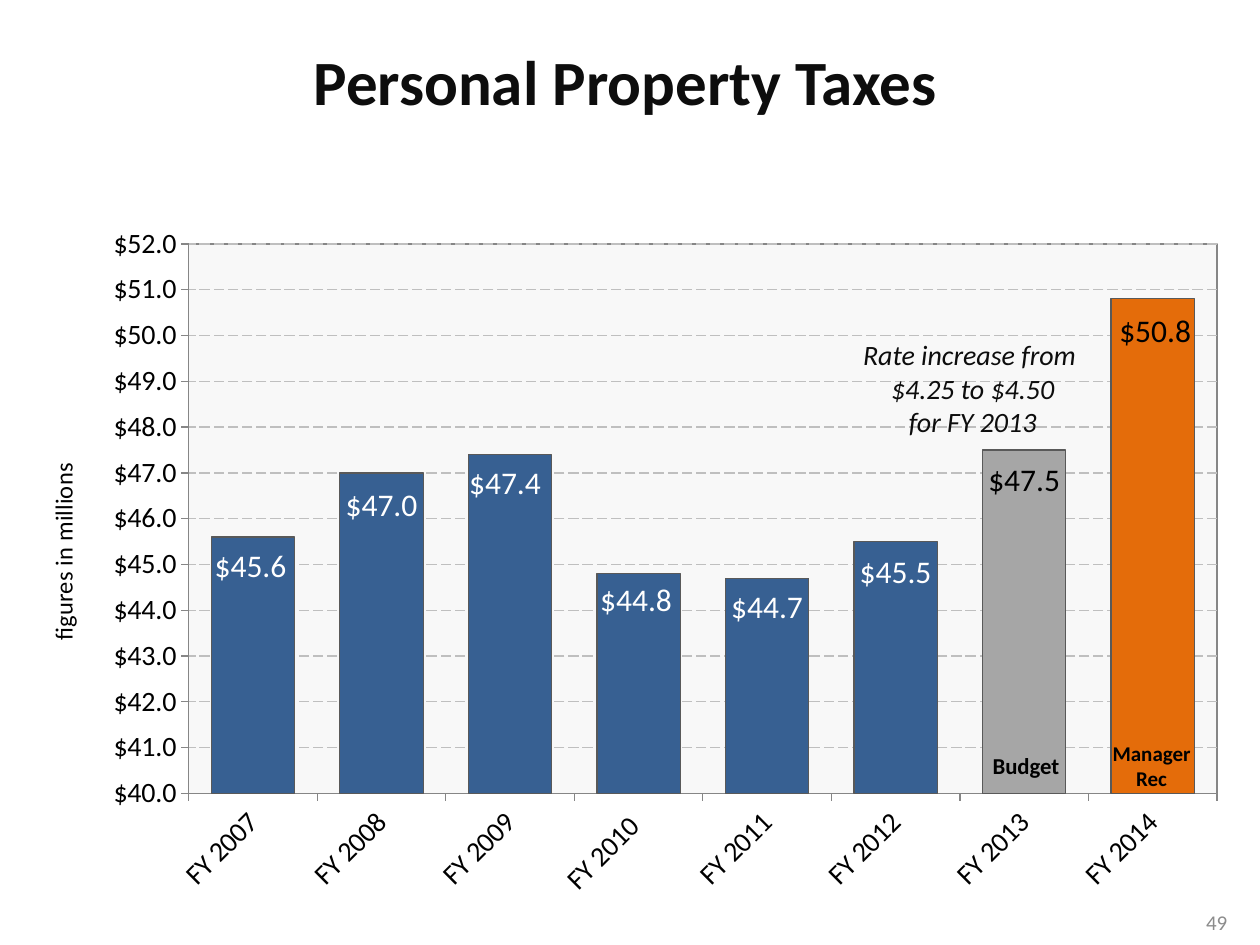
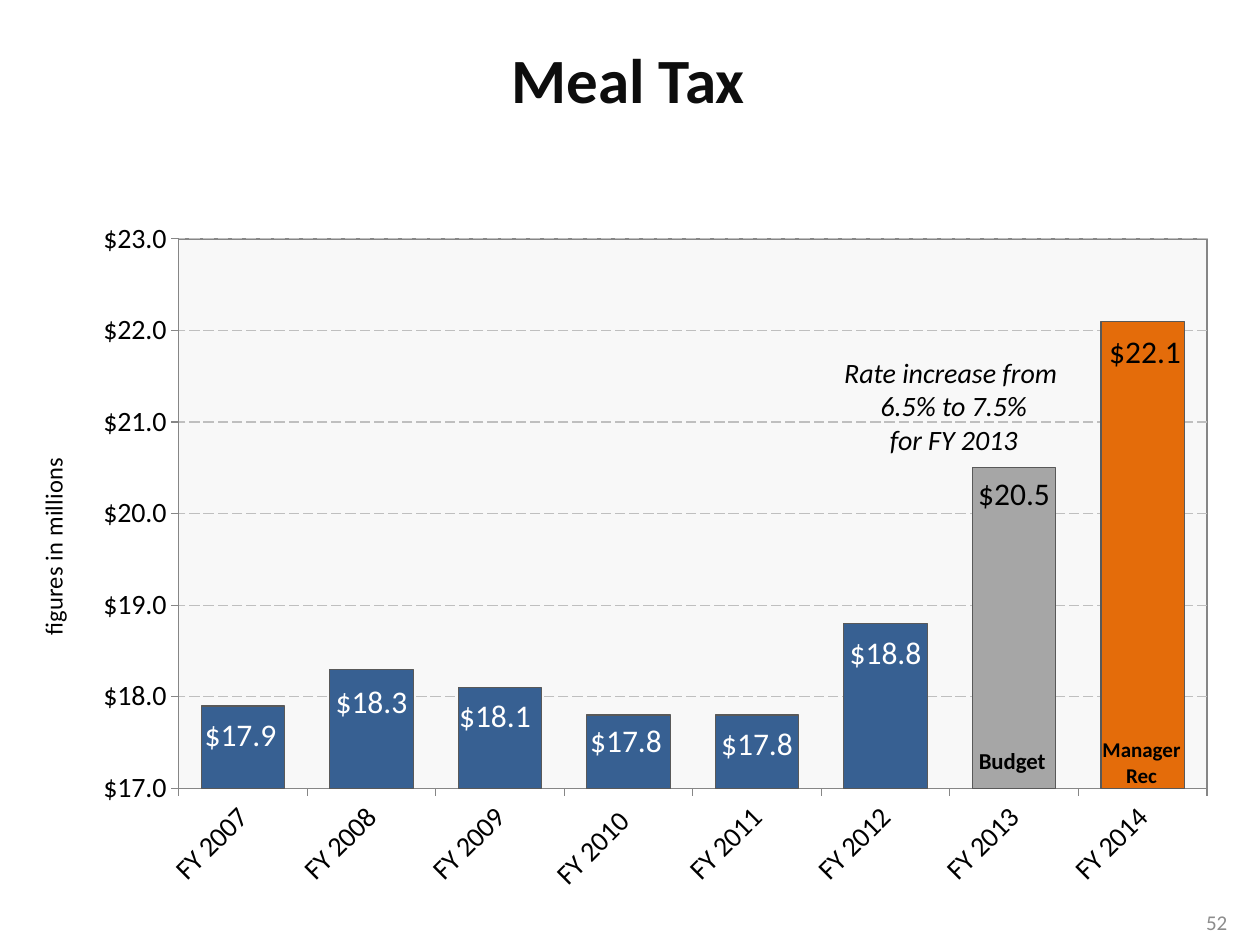
from pptx import Presentation
from pptx.chart.data import CategoryChartData
from pptx.dml.color import RGBColor
from pptx.enum.chart import XL_CHART_TYPE, XL_LABEL_POSITION, XL_TICK_MARK
from pptx.enum.dml import MSO_LINE
from pptx.enum.text import MSO_ANCHOR, PP_ALIGN
from pptx.oxml import parse_xml
from pptx.oxml.ns import nsdecls
from pptx.util import Inches, Pt

COLUMNS = XL_CHART_TYPE.COLUMN_CLUSTERED
INSIDE_END = XL_LABEL_POSITION.INSIDE_END
OUTSIDE = XL_TICK_MARK.OUTSIDE
LONG_DASH = MSO_LINE.LONG_DASH
LEFT, CENTER, RIGHT = PP_ALIGN.LEFT, PP_ALIGN.CENTER, PP_ALIGN.RIGHT
TOP, MIDDLE = MSO_ANCHOR.TOP, MSO_ANCHOR.MIDDLE

FONT = "Calibri"
BLACK, INK, WHITE = "000000", "0D0D0D", "FFFFFF"
BLUE, SILVER, ORANGE = "376092", "A6A6A6", "E46C0A"
GRID, AXIS, BAR_EDGE, NUMBER = "BFBFBF", "868686", "595959", "8C8C8C"
MONEY = '"$"#,##0.0'
CHART_WIDTH, CHART_HEIGHT = 9.5, 6
YEARS = ["FY 2007", "FY 2008", "FY 2009", "FY 2010 ",
         "FY 2011", "FY 2012", "FY 2013", "FY 2014"]
BAR_COLORS = [BLUE] * 6 + [SILVER, ORANGE]
LABEL_COLORS = [WHITE] * 6 + [BLACK] * 2
# Label shifts in inches from the inside end of each bar
LABEL_RIGHT = [-0.02, 0, -0.04, -0.02, 0, 0, 0, 0.02]
LABEL_DOWN = [0.04, 0.07, 0.04, 0.02, 0.04, 0.05]


def color(hex_string):
    return RGBColor.from_string(hex_string)


def style_font(font, size, hex_string=BLACK, bold=False, italic=False):
    font.name, font.size = FONT, Pt(size)
    font.bold, font.italic = bold, italic
    font.color.rgb = color(hex_string)


def style_line(line, hex_string, width=0.75):
    line.color.rgb = color(hex_string)
    line.width = Pt(width)


def chart_xml(tag, content="", attributes=""):
    return parse_xml(f'<c:{tag} {nsdecls("c", "a")} {attributes}>{content}</c:{tag}>')


def set_layout(parent, index, values):
    """Give a chart part a manual layout, as fractions of the chart."""
    for old in parent.xpath("./c:layout"):
        parent.remove(old)
    entries = "".join(f'<c:{tag} val="{value}"/>' for tag, value in values.items())
    parent.insert(index, chart_xml("layout", f"<c:manualLayout>{entries}</c:manualLayout>"))


class TaxDeck:
    def __init__(self):
        self.deck = Presentation()
        self.deck.slide_width, self.deck.slide_height = Inches(10), Inches(7.5)
        self.page = None

    def new_page(self):
        self.page = self.deck.slides.add_slide(self.deck.slide_layouts[6])

    def text(self, text, left, top, width, height, size, hex_string=BLACK,
             bold=False, italic=False, align=LEFT, anchor=TOP, wrap=False):
        box = self.page.shapes.add_textbox(
            Inches(left), Inches(top), Inches(width), Inches(height))
        frame = box.text_frame
        frame.word_wrap, frame.vertical_anchor = wrap, anchor
        for number, line in enumerate(text.split("\n")):
            para = frame.add_paragraph() if number else frame.paragraphs[0]
            para.alignment = align
            span = para.add_run()
            span.text = line
            style_font(span.font, size, hex_string, bold, italic)

    def bar_chart(self, left, top, values, low, high, label_down):
        data = CategoryChartData(number_format="0.0")
        data.categories = YEARS
        data.add_series("Series 1", values)
        chart = self.page.shapes.add_chart(
            COLUMNS, Inches(left), Inches(top),
            Inches(CHART_WIDTH), Inches(CHART_HEIGHT), data).chart
        style_font(chart.font, 18)
        chart.has_legend = chart.has_title = False
        chart.plots[0].gap_width = 54
        chart.plots[0].vary_by_categories = False
        self.axes(chart, low, high)
        self.bars(chart.plots[0].series[0], label_down)
        self.plot_area(chart)

    def axes(self, chart, low, high):
        for axis in (chart.category_axis, chart.value_axis):
            axis.major_tick_mark = OUTSIDE
            style_font(axis.tick_labels.font, 16)
            style_line(axis.format.line, AXIS)
        years = chart.element.xpath(".//c:catAx/c:txPr/a:bodyPr")[0]
        years.set("rot", "-2700000")
        years.set("vert", "horz")

        axis = chart.value_axis
        axis.minimum_scale, axis.maximum_scale, axis.major_unit = low, high, 1
        axis.tick_labels.number_format = MONEY
        axis.tick_labels.number_format_is_linked = False
        grid = axis.major_gridlines.format.line
        style_line(grid, GRID)
        grid.dash_style = LONG_DASH

        span = axis.axis_title.text_frame.paragraphs[0].add_run()
        span.text = "figures in millions"
        style_font(span.font, 14)
        title = axis.axis_title.element
        body = title.xpath(".//a:bodyPr")[0]
        body.set("rot", "-5400000")
        body.set("vert", "horz")
        set_layout(title, 1, {"xMode": "edge", "yMode": "edge", "x": 0, "y": 0.37})

    def bars(self, series, label_down):
        series.invert_if_negative = False
        series.format.fill.solid()
        series.format.fill.fore_color.rgb = color(BLUE)
        style_line(series.format.line, BAR_EDGE)
        labels = series.data_labels
        labels.show_value = True
        labels.number_format, labels.number_format_is_linked = MONEY, False
        labels.position = INSIDE_END
        style_font(labels.font, 18, WHITE)

        for index, bar_color in enumerate(BAR_COLORS):
            point = series.points[index]
            if bar_color != BLUE:
                point.format.fill.solid()
                point.format.fill.fore_color.rgb = color(bar_color)
                style_line(point.format.line, BAR_EDGE)
            style_font(point.data_label.font, 18, LABEL_COLORS[index])
            point.data_label.position = INSIDE_END
            label = labels._element.xpath(f"./c:dLbl[c:idx/@val='{index}']")[0]
            set_layout(label, 1, {"x": LABEL_RIGHT[index] / CHART_WIDTH,
                                  "y": label_down[index] / CHART_HEIGHT})
            label.insert(2, chart_xml(
                "numFmt", attributes=f"formatCode='{MONEY}' sourceLinked='0'"))

    def plot_area(self, chart):
        area = chart.element.xpath("./c:chart/c:plotArea")[0]
        set_layout(area, 0, {"layoutTarget": "inner", "xMode": "edge", "yMode": "edge",
                             "x": 0.123, "y": 0.086, "w": 0.859, "h": 0.727})
        area.append(chart_xml("spPr", (
            '<a:solidFill><a:srgbClr val="F2F2F2"><a:alpha val="51000"/></a:srgbClr></a:solidFill>'
            f'<a:ln w="9525"><a:solidFill><a:srgbClr val="{AXIS}"/></a:solidFill></a:ln>')))

    def tax_page(self, title, title_at, chart_at, values, scale, label_down,
                 note, note_at, note_color, budget_at, manager_at, number):
        self.new_page()
        self.bar_chart(*chart_at, values, *scale, label_down)
        self.text(title, *title_at, 36, INK, bold=True)
        # Bar captions and rate note
        self.text("Budget", *budget_at, 1, 0.35, 13, bold=True)
        self.text(f"Rate increase from \n{note}\nfor FY 2013", *note_at, 2.2, 0.9, 16,
                  note_color, italic=True, align=CENTER)
        self.text("Manager\nRec", *manager_at, 1, 0.4, 12, bold=True, align=CENTER)
        # Page number
        self.text(number, 7.51, 7.12, 2.33, 0.4, 12, NUMBER,
                  align=RIGHT, anchor=MIDDLE, wrap=True)


def main():
    taxes = TaxDeck()
    taxes.tax_page(
        "Personal Property Taxes", (2.39, 0.29, 5.2, 0.71), chart_at=(0.33, 1.42),
        values=[45.6, 47, 47.4, 44.8, 44.7, 45.5, 47.5, 50.8], scale=(40, 52),
        label_down=LABEL_DOWN + [0.05, 0.07],
        note="$4.25 to $4.50", note_at=(6.62, 2.63), note_color=INK,
        budget_at=(7.78, 5.92), manager_at=(8.64, 5.83), number="49")
    taxes.tax_page(
        "Meal Tax", (3.96, 0.27, 2.07, 0.71), chart_at=(0.25, 1.38),
        values=[17.9, 18.3, 18.1, 17.8, 17.8, 18.8, 20.5, 22.1], scale=(17, 23),
        label_down=LABEL_DOWN + [0.02, 0.06],
        note="6.5% to 7.5%", note_at=(6.47, 2.77), note_color=BLACK,
        budget_at=(7.67, 5.88), manager_at=(8.56, 5.8), number="52")
    taxes.deck.save("out.pptx")


if __name__ == "__main__":
    main()
